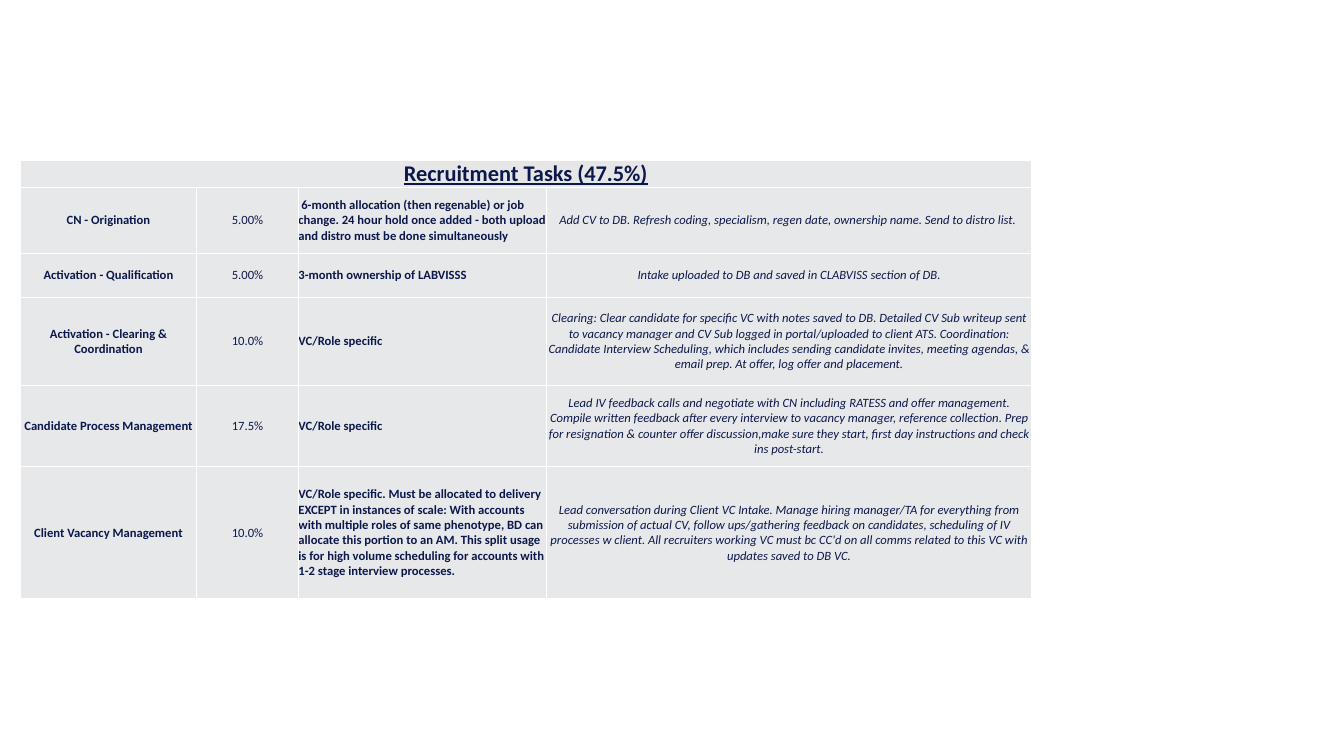
from lxml.etree import SubElement
from pptx import Presentation
from pptx.dml.color import RGBColor
from pptx.enum.text import MSO_ANCHOR, PP_ALIGN
from pptx.oxml.ns import qn
from pptx.util import Inches, Pt

COL_WIDTHS = [1.75, 1.01, 2.46, 4.81]
ROW_HEIGHTS = [0.27, 0.65, 0.44, 0.87, 0.81, 1.31]
HEADING = "Recruitment Tasks (47.5%)"
TASKS = [
    ("CN - Origination", "5.00%",
     " 6-month allocation (then regenable) or job change. 24 hour hold once added - "
     "both upload and distro must be done simultaneously",
     "Add CV to DB. Refresh coding, specialism, regen date, ownership name. "
     "Send to distro list. "),
    ("Activation - Qualification", "5.00%",
     "3-month ownership of LABVISSS",
     "Intake uploaded to DB and saved in CLABVISS section of DB."),
    ("Activation - Clearing & Coordination", "10.0%",
     "VC/Role specific",
     "Clearing: Clear candidate for specific VC with notes saved to DB. Detailed CV Sub "
     "writeup sent to vacancy manager and CV Sub logged in portal/uploaded to client ATS. "
     "Coordination: Candidate Interview Scheduling, which includes sending candidate "
     "invites, meeting agendas, & email prep. At offer, log offer and placement."),
    ("Candidate Process Management", "17.5%",
     "VC/Role specific",
     "Lead IV feedback calls and negotiate with CN including RATESS and offer management. "
     "Compile written feedback after every interview to vacancy manager, reference "
     "collection. Prep for resignation & counter offer discussion,make sure they start, "
     "first day instructions and check ins post-start."),
    ("Client Vacancy Management", "10.0%",
     "VC/Role specific. Must be allocated to delivery EXCEPT in instances of scale: With "
     "accounts with multiple roles of same phenotype, BD can allocate this portion to an "
     "AM. This split usage is for high volume scheduling for accounts with 1-2 stage "
     "interview processes.",
     "Lead conversation during Client VC Intake. Manage hiring manager/TA for everything "
     "from submission of actual CV, follow ups/gathering feedback on candidates, "
     "scheduling of IV processes w client. All recruiters working VC must bc CC'd on all "
     "comms related to this VC with updates saved to DB VC."),
]
HEADING_FORMAT = dict(size=Pt(16), bold=True, underline=True)
COL_FORMATS = [dict(bold=True), dict(bold=False), dict(bold=True),
               dict(bold=False, italic=True)]
COL_ALIGNS = [PP_ALIGN.CENTER, PP_ALIGN.CENTER, PP_ALIGN.LEFT, PP_ALIGN.CENTER]


def color(value):
    return RGBColor.from_string(value)


class Deck:
    font, ink, fill, line, highlight = "Calibri", "0B184C", "E7E8E9", "FFFFFF", "E7E6E6"

    def __init__(self, width, height):
        self.prs = Presentation()
        self.prs.slide_width, self.prs.slide_height = Inches(width), Inches(height)
        self.s = self.prs.slides.add_slide(self.prs.slide_layouts[6])

    def table(self, left, top, widths, heights):
        frame = self.s.shapes.add_table(
            len(heights), len(widths), Inches(left), Inches(top),
            Inches(sum(widths)), Inches(sum(heights)))
        tbl = frame.table
        tbl.first_row = tbl.horz_banding = False
        for col, width in zip(tbl.columns, widths):
            col.width = Inches(width)
        for row, height in zip(tbl.rows, heights):
            row.height = Inches(height)
        for cell in tbl.iter_cells():
            self.cell_style(cell)
        return tbl

    def cell_style(self, cell):
        cell.margin_left = cell.margin_right = cell.margin_top = cell.margin_bottom = 0
        cell.vertical_anchor = MSO_ANCHOR.MIDDLE
        tc_pr = cell._tc.get_or_add_tcPr()
        for side in ("lnL", "lnR", "lnT", "lnB"):
            ln = SubElement(tc_pr, qn(f"a:{side}"), w=str(Pt(1)))
            solid = SubElement(ln, qn("a:solidFill"))
            SubElement(solid, qn("a:srgbClr"), val=self.line)
        cell.fill.solid()
        cell.fill.fore_color.rgb = color(self.fill)

    def text(self, cell, text, align, fmt, highlight=False):
        p = cell.text_frame.paragraphs[0]
        p.alignment = align
        r = p.add_run()
        r.text = text
        for name, value in {"size": Pt(9), "name": self.font, **fmt}.items():
            setattr(r.font, name, value)
        r.font.color.rgb = color(self.ink)
        if highlight:
            r_pr = r._r.get_or_add_rPr()
            mark = SubElement(r_pr, qn("a:highlight"))
            SubElement(mark, qn("a:srgbClr"), val=self.highlight)
            r_pr.find(qn("a:solidFill")).addnext(mark)


def main():
    deck = Deck(13.33, 7.5)
    tbl = deck.table(0.2, 1.59, COL_WIDTHS, ROW_HEIGHTS)

    # Heading across all columns
    heading = tbl.cell(0, 0)
    heading.merge(tbl.cell(0, len(COL_WIDTHS) - 1))
    deck.text(heading, HEADING, PP_ALIGN.CENTER, HEADING_FORMAT, highlight=True)

    # One row per task
    for row, task in enumerate(TASKS, 1):
        for col, (text, align, fmt) in enumerate(zip(task, COL_ALIGNS, COL_FORMATS)):
            deck.text(tbl.cell(row, col), text, align, fmt)

    deck.prs.save("out.pptx")


if __name__ == "__main__":
    main()
